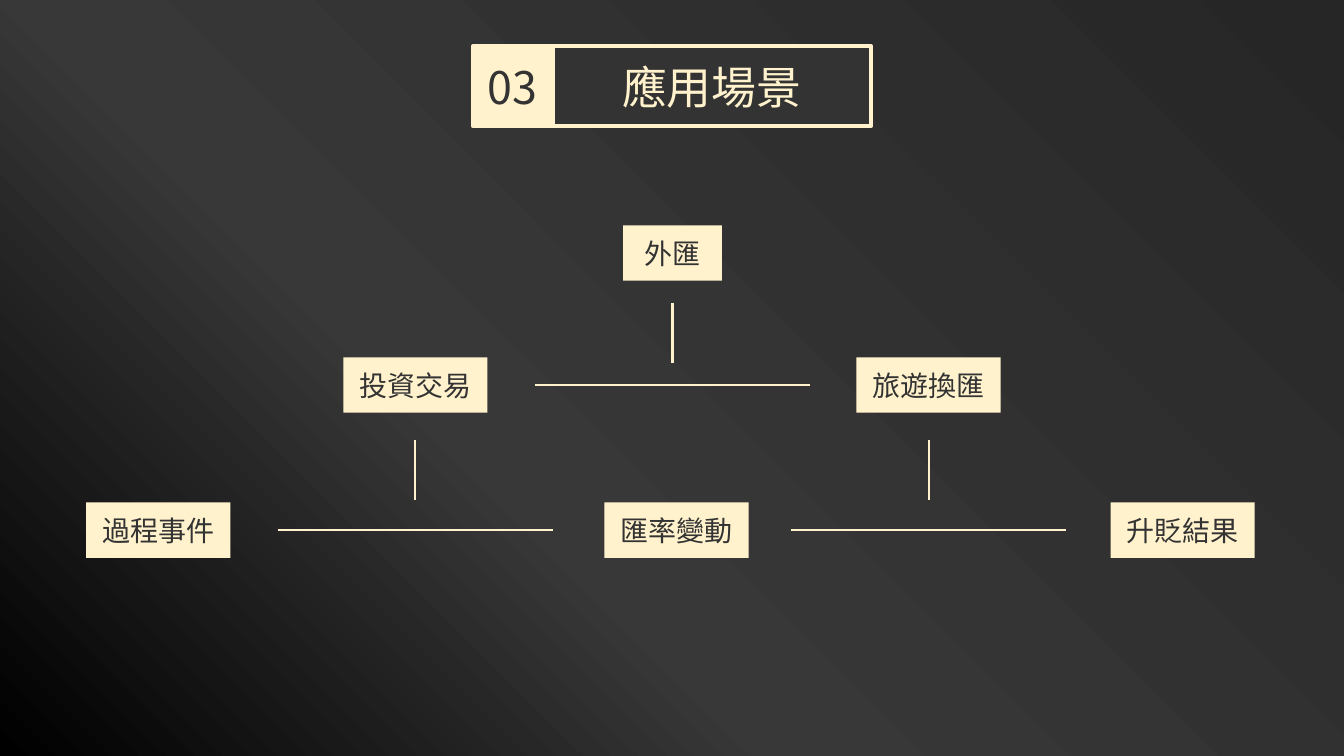
from copy import deepcopy

from pptx import Presentation
from pptx.dml.color import RGBColor
from pptx.enum.shapes import MSO_CONNECTOR as Connector, MSO_SHAPE as Shape
from pptx.enum.text import MSO_ANCHOR as Anchor, PP_ALIGN as Align
from pptx.oxml.ns import qn
from pptx.util import Inches, Pt
from lxml.etree import SubElement

COLORS = {"cream": "FFF2CC", "ink": "333333",
          "night": "262626", "slate": "383838", "black": "000000"}
FONT = "Noto Sans CJK JP"
WIDTH, HEIGHT = 13.33, 7.5

# Centres of the tree's columns and rows
COLUMNS = [1.57, 4.12, 6.67, 9.21, 11.73]
ROWS = [2.51, 3.82, 5.26]
NODE_HEIGHT, WIDE_NODE, SHORT_NODE = 0.55, 1.43, 0.98
BRANCH, STEM = 2.73, 0.59
NUDGE = 0.04  # the lower middle node sits just right of the axis


def color(name):
    return RGBColor.from_string(COLORS[name])


def add_box(page, left, top, width, height, fill=None, border=None):
    box = page.shapes.add_shape(Shape.RECTANGLE, Inches(left), Inches(top),
                                Inches(width), Inches(height))
    box.shadow.inherit = False
    if fill:
        box.fill.solid()
        box.fill.fore_color.rgb = color(fill)
    if border:
        box.line.color.rgb = color("cream")
        box.line.width = Pt(border)
    else:
        box.line.fill.background()
    return box


def write(box, text, size, ink):
    frame = box.text_frame
    frame.word_wrap = False
    frame.vertical_anchor = Anchor.MIDDLE
    para = frame.paragraphs[0]
    para.text = text
    para.alignment = Align.CENTER
    font = para.font
    font.size = Pt(size)
    font.color.rgb = color(ink)
    font.name = FONT
    # East Asian typeface for the Chinese characters
    defaults = next(para._p.iter(qn("a:defRPr")))
    SubElement(defaults, qn("a:ea")).set("typeface", FONT)


def add_background(page):
    fill = add_box(page, 0, 0, WIDTH, HEIGHT).fill
    fill.gradient()
    fill.gradient_angle = 225
    stops = next(page.shapes[0].element.iter(qn("a:gsLst")))
    stops.append(deepcopy(stops[-1]))
    shades = [(0, "night"), (0.63, "slate"), (1, "black")]
    for stop, (position, shade) in zip(fill.gradient_stops, shades):
        stop.position = position
        stop.color.rgb = color(shade)


def add_heading(page, number, title):
    left, top, side = 4.69, 0.46, 0.79
    write(add_box(page, left, top, side, side, "cream", 3), number, 32, "ink")
    write(add_box(page, left + side, top, 4 * side, side, "ink", 3),
          title, 32, "cream")


def add_node(page, text, x, y, width=WIDE_NODE):
    box = add_box(page, x - width / 2, y - NODE_HEIGHT / 2,
                  width, NODE_HEIGHT, "cream")
    write(box, text, 20, "ink")


def add_line(page, x, y, across=0, down=0):
    line = page.shapes.add_connector(Connector.STRAIGHT, Inches(x), Inches(y),
                                     Inches(x + across), Inches(y + down))
    line.line.color.rgb = color("cream")
    line.line.width = Pt(1.5)
    SubElement(line.element.spPr, qn("a:effectLst"))


def add_fork(page, x, stem_top, y):
    """A stem above a horizontal branch between two nodes."""
    add_line(page, x, stem_top, down=STEM)
    add_line(page, x - BRANCH / 2, y, across=BRANCH)


def main():
    deck = Presentation()
    deck.slide_width, deck.slide_height = Inches(WIDTH), Inches(HEIGHT)
    page = deck.slides.add_slide(deck.slide_layouts[6])

    add_background(page)
    add_heading(page, "03", "應用場景")

    # Connecting lines
    add_fork(page, COLUMNS[2], 3.01, ROWS[1])
    for column in (1, 3):
        add_fork(page, COLUMNS[column], 4.37, ROWS[2])

    # Nodes, level by level
    add_node(page, "外匯", COLUMNS[2], ROWS[0], SHORT_NODE)
    for text, column in (("投資交易", 1), ("旅遊換匯", 3)):
        add_node(page, text, COLUMNS[column], ROWS[1])
    add_node(page, "過程事件", COLUMNS[0], ROWS[2])
    add_node(page, "匯率變動", COLUMNS[2] + NUDGE, ROWS[2])
    add_node(page, "升貶結果", COLUMNS[4], ROWS[2])

    deck.save("out.pptx")


if __name__ == "__main__":
    main()
